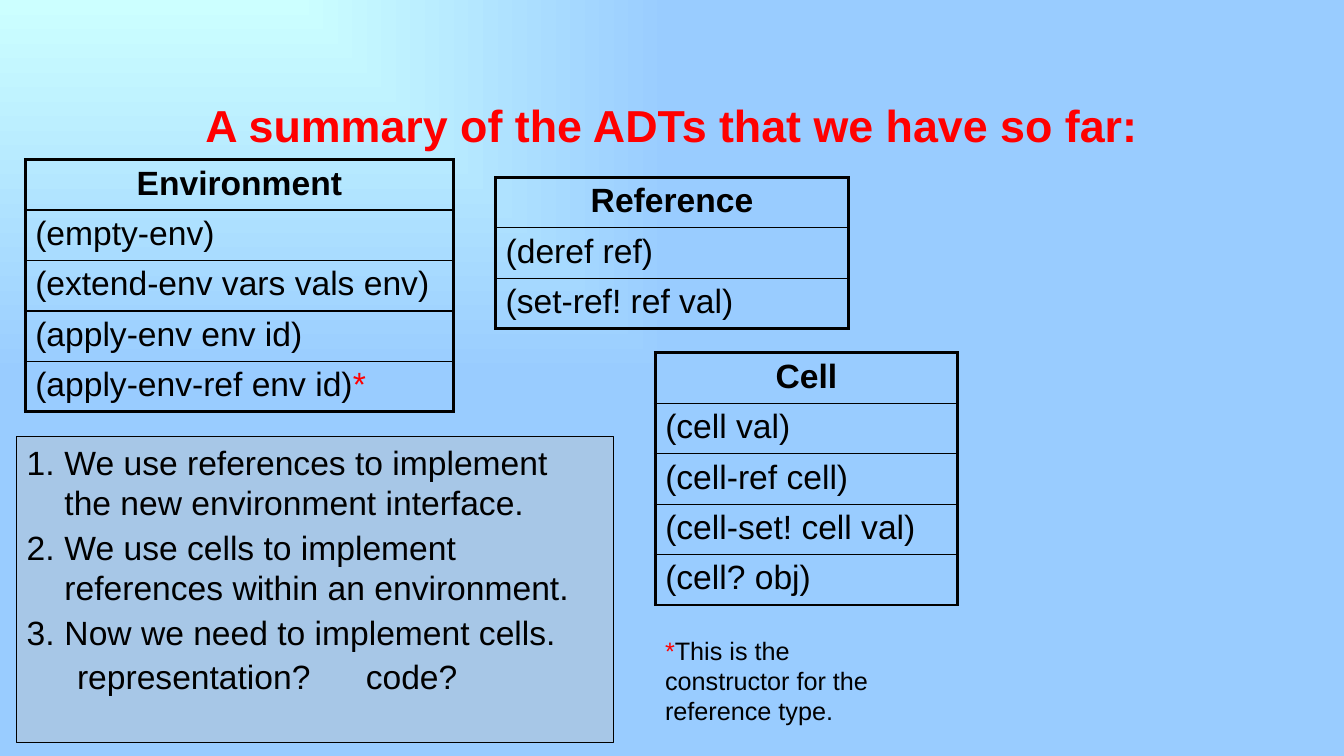
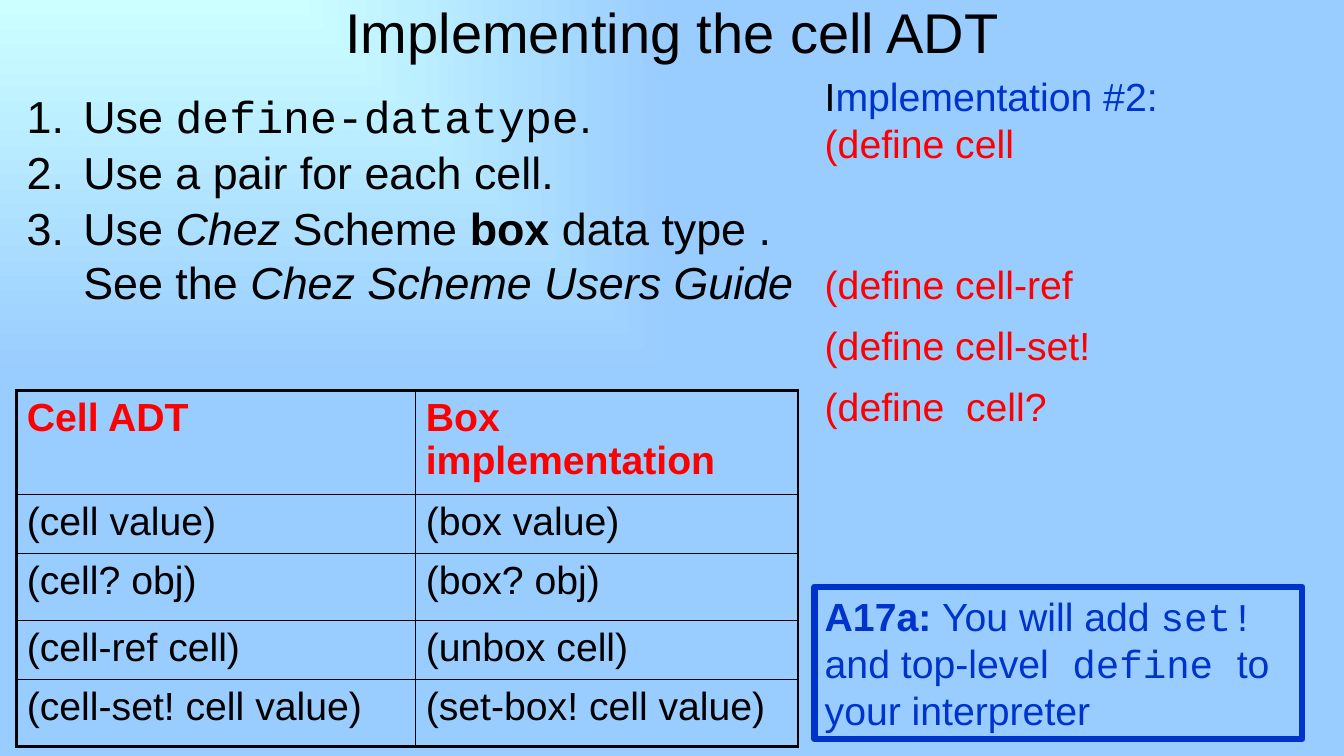
from dataclasses import dataclass

from lxml.etree import SubElement
from pptx import Presentation
from pptx.dml.color import RGBColor
from pptx.enum.shapes import MSO_SHAPE
from pptx.enum.text import MSO_ANCHOR as Anchor, PP_ALIGN as Align
from pptx.oxml.ns import qn
from pptx.util import Pt

EMU_PER_PX = 9525


@dataclass(frozen=True)
class Theme:
    glow: str = "CCFFFF"
    sky: str = "99CCFF"
    ink: str = "000000"
    accent: str = "FF0000"
    task: str = "0033CC"
    panel: str = "C0C0C0"
    sans: str = "Arial"
    mono: str = "Courier New"
    title: int = 40
    heading: int = 32
    code: int = 28
    body: int = 24
    note: int = 18
    outer_border: float = 2.25
    inner_border: float = 1


THEME = Theme()


def px(length):
    return length * EMU_PER_PX


def rgb(color):
    return RGBColor.from_string(color)


def span(text, **style):
    return text, style


def mono(text):
    return span(text, font=THEME.mono)


def add_paragraph(frame, *spans, size=THEME.body, color=THEME.ink, bold=False,
                  align=Align.LEFT, before=0, after=0, hanging=0, tabs=()):
    """Write strings or spans as one paragraph; "\\n" alone is a line break."""
    first = frame.paragraphs[0]
    is_first = not first.runs
    paragraph = first if is_first else frame.add_paragraph()
    props = paragraph._p.get_or_add_pPr()
    if hanging:
        props.set("marL", str(px(hanging)))
        props.set("indent", str(px(-hanging)))
        SubElement(props, qn("a:buFont"), typeface=THEME.sans)
        SubElement(props, qn("a:buAutoNum"), type="arabicPeriod")
    if tabs:
        stops = SubElement(props, qn("a:tabLst"))
        for stop in tabs:
            SubElement(stops, qn("a:tab"), pos=str(px(stop)), algn="l")
    paragraph.alignment = align
    paragraph.line_spacing = 1.0
    paragraph.space_before = Pt(0 if is_first else before)
    paragraph.space_after = Pt(after)
    for item in spans:
        text, style = span(item) if isinstance(item, str) else item
        if text == "\n":
            paragraph.add_line_break()
            continue
        run = paragraph.add_run()
        run.text = text
        run.font.name = style.get("font", THEME.sans)
        run.font.size = Pt(size)
        run.font.bold = style.get("bold", bold)
        run.font.italic = style.get("italic", False)
        run.font.color.rgb = rgb(style.get("color", color))


def add_text_area(slide, left, top, width, height, anchor=Anchor.TOP):
    box = slide.shapes.add_textbox(px(left), px(top), px(width), px(height))
    frame = box.text_frame
    frame.word_wrap = True
    frame.vertical_anchor = anchor
    return frame


def add_panel(slide, left, top, width, height, line, weight, fill=None, opacity=100):
    panel = slide.shapes.add_shape(
        MSO_SHAPE.RECTANGLE, px(left), px(top), px(width), px(height))
    panel.shadow.inherit = False
    panel.line.color.rgb = rgb(line)
    panel.line.width = Pt(weight)
    if fill:
        panel.fill.solid()
        panel.fill.fore_color.rgb = rgb(fill)
        tint = panel.fill._xPr.find(f".//{qn('a:srgbClr')}")
        SubElement(tint, qn("a:alpha"), val=str(opacity * 1000))
    else:
        panel.fill.background()
    frame = panel.text_frame
    frame.word_wrap = True
    frame.vertical_anchor = Anchor.TOP
    return frame


def set_borders(cell, outer_edges):
    """Rule all four edges, thicker where the edge lies on the table's outline."""
    props = cell._tc.get_or_add_tcPr()
    for edge in "LRTB":
        weight = THEME.outer_border if edge in outer_edges else THEME.inner_border
        line = SubElement(props, qn(f"a:ln{edge}"), w=str(Pt(weight)))
        fill = SubElement(line, qn("a:solidFill"))
        SubElement(fill, qn("a:srgbClr"), val=THEME.ink)


def add_grid(slide, left, top, widths, heights, rows, size, header):
    """Draw a ruled table; header holds the format of its first row."""
    table = slide.shapes.add_table(
        len(rows), len(widths), px(left), px(top),
        px(sum(widths)), px(sum(heights))).table
    table.first_row = table.horz_banding = False
    for column, width in zip(table.columns, widths):
        column.width = px(width)
    for r, (row, height) in enumerate(zip(rows, heights)):
        table.rows[r].height = px(height)
        for c, content in enumerate(row):
            cell = table.cell(r, c)
            on_outline = {"L": c == 0, "R": c == len(widths) - 1,
                          "T": r == 0, "B": r == len(rows) - 1}
            set_borders(cell, [edge for edge, outer in on_outline.items() if outer])
            cell.fill.background()
            spans = content if isinstance(content, list) else [content]
            add_paragraph(cell.text_frame, *spans, size=size,
                          **(header if r == 0 else {}))


def add_adt(slide, left, top, width, heights, name, *operations):
    rows = [[entry] for entry in (name, *operations)]
    add_grid(slide, left, top, [width], heights, rows, THEME.body,
             {"bold": True, "align": Align.CENTER})


def add_slide(deck):
    """Add a blank slide with the glow in its top left corner."""
    slide = deck.slides.add_slide(deck.slide_layouts[6])
    fill = slide.background.fill
    fill.gradient()
    for stop, color, position in zip(fill.gradient_stops, (THEME.glow, THEME.sky), (0, 1)):
        stop.color.rgb = rgb(color)
        stop.position = position
    gradient = slide.element.find(f".//{qn('a:gradFill')}")
    gradient.remove(gradient.find(qn("a:lin")))
    spread = SubElement(gradient, qn("a:path"))
    spread.set("path", "rect")
    SubElement(spread, qn("a:fillToRect"), r="100000", b="100000")
    return slide


def build_summary(deck):
    slide = add_slide(deck)
    heading = add_text_area(slide, 160, 88, 960, 104)
    add_paragraph(heading, "A summary of the ADTs that we have so far:",
                  size=THEME.heading, color=THEME.accent, bold=True,
                  align=Align.CENTER)

    star = span("*", color=THEME.accent)
    add_adt(slide, 24, 152, 408, [45, 45, 48, 45, 45], "Environment",
            "(empty-env)", "(extend-env vars vals env)", "(apply-env env id)",
            ["(apply-env-ref env id)", star])
    add_adt(slide, 472, 169, 336, [45] * 3, "Reference",
            "(deref ref)", "(set-ref! ref val)")
    add_adt(slide, 624, 336, 288, [45] * 5, "Cell",
            "(cell val)", "(cell-ref cell)", "(cell-set! cell val)", "(cell? obj)")

    plan = add_panel(slide, 16, 416, 568, 291, THEME.ink, 0.75, THEME.panel, 37)
    for step in ("We use references to implement the new environment interface.",
                 "We use cells to implement references within an environment.",
                 "Now we need to implement cells."):
        add_paragraph(plan, step, before=3, hanging=36)
    add_paragraph(plan, "\trepresentation?\tcode?", before=3, tabs=(48, 323))

    footnote = add_text_area(slide, 624, 600, 248, 97)
    add_paragraph(footnote, star, "This is the constructor for the reference type.",
                  size=THEME.note)


def build_implementation(deck):
    slide = add_slide(deck)
    title = add_text_area(slide, 208, 0, 864, 60, Anchor.MIDDLE)
    add_paragraph(title, "Implementing the cell ADT", size=THEME.title,
                  align=Align.CENTER)

    options = add_text_area(slide, 16, 80, 960, 248)
    for option in (
        ["Use ", mono("define-datatype"), "."],
        ["Use a pair for each cell."],
        ["Use ", span("Chez", italic=True), " Scheme ", span("box", bold=True),
         " data type .", "\n", "See the ",
         span("Chez Scheme Users Guide", italic=True)],
    ):
        add_paragraph(options, *option, size=THEME.heading, before=1.5, hanging=54)

    add_grid(slide, 16, 372, [380, 364], [93, 56, 64, 56, 64], [
        ("Cell ADT", "Box implementation"),
        ("(cell value)", "(box value)"),
        ("(cell? obj)", "(box? obj)"),
        ("(cell-ref cell)", "(unbox cell)"),
        ("(cell-set! cell value)", "(set-box! cell value)"),
    ], THEME.code, {"bold": True, "color": THEME.accent})

    assignment = add_panel(slide, 776, 559, 464, 145, THEME.task, 4.75)
    add_paragraph(assignment, span("A17a: ", bold=True), "You will add ",
                  mono("set! "), "and top-level", mono(" define "),
                  "to your interpreter", size=THEME.code, color=THEME.task)

    sketch = add_text_area(slide, 776, 64, 472, 353)
    add_paragraph(sketch, "I", span("mplementation #2:", color=THEME.task),
                  size=THEME.code)
    two_lines = 2 * 1.2 * THEME.code
    for definition, before, after in (("(define cell", 0, 0),
                                      ("(define cell-ref", two_lines, 10),
                                      ("(define cell-set!", 0, 10),
                                      ("(define  cell?", 0, 10)):
        add_paragraph(sketch, definition, size=THEME.code, color=THEME.accent,
                      before=before, after=after)


def main():
    deck = Presentation()
    deck.slide_width, deck.slide_height = px(1280), px(720)
    build_summary(deck)
    build_implementation(deck)
    deck.save("out.pptx")


if __name__ == "__main__":
    main()
